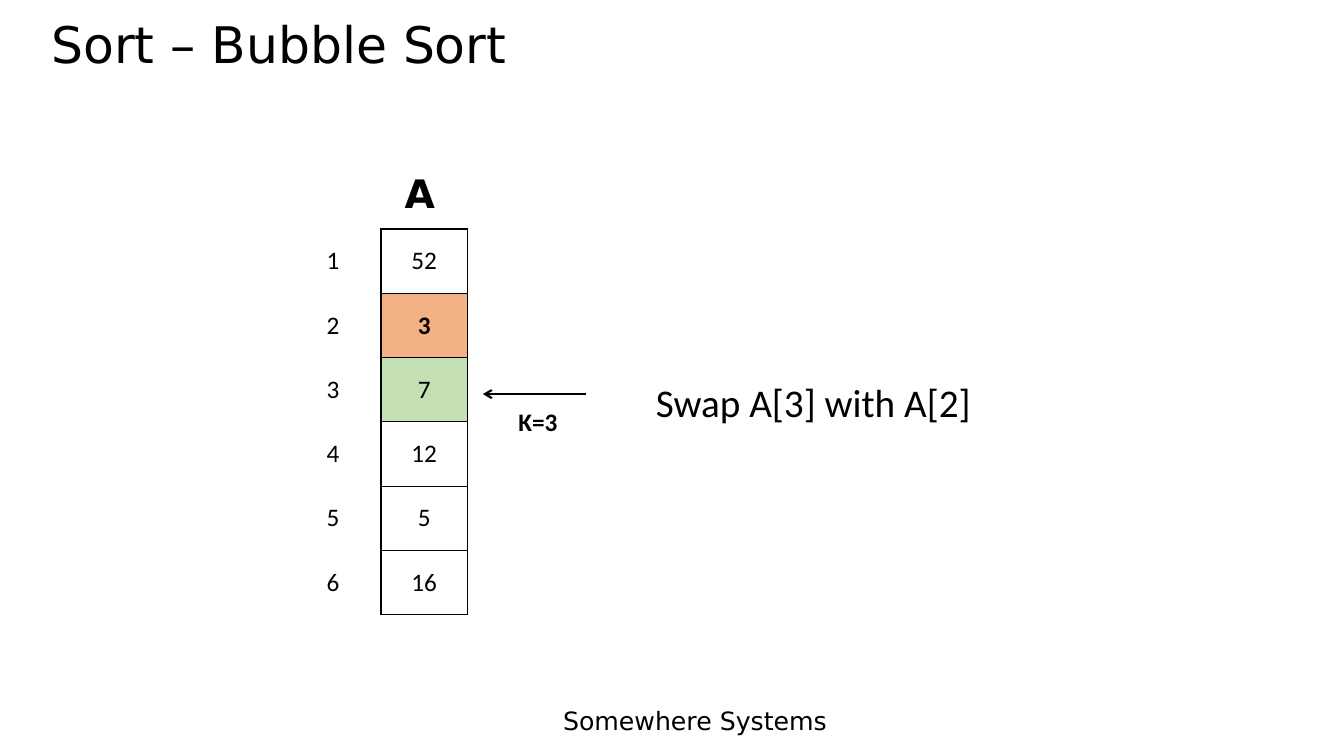
import pptx
import pptx.dml.color
import pptx.enum.shapes
import pptx.enum.text
import pptx.oxml
import pptx.oxml.ns
import pptx.util
from pptx.util import Cm

BLACK = pptx.dml.color.RGBColor(0x00, 0x00, 0x00)
ORANGE = pptx.dml.color.RGBColor(0xF4, 0xB1, 0x83)
GREEN = pptx.dml.color.RGBColor(0xC5, 0xE0, 0xB4)
LEFT = pptx.enum.text.PP_ALIGN.LEFT
CENTER = pptx.enum.text.PP_ALIGN.CENTER
MIDDLE = pptx.enum.text.MSO_ANCHOR.MIDDLE
TOP = pptx.enum.text.MSO_ANCHOR.TOP

TABLE_TOP = 5.77
ROW_HEIGHT = 1.62
VALUES = ["52", "3", "7", "12", "5", "16"]
INDEXES = [str(number) for number in range(1, len(VALUES) + 1)]
HIGHLIGHTS = {"3": ORANGE, "7": GREEN}


def write_text(text_frame, text, size, font_name, bold=False, alignment=CENTER):
    text_frame.text = text
    text_frame.word_wrap = True
    paragraph = text_frame.paragraphs[0]
    paragraph.alignment = alignment
    font = paragraph.runs[0].font
    font.size = pptx.util.Pt(size)
    font.name = font_name
    font.bold = bold
    font.color.rgb = BLACK


def add_column(left, width, texts, bordered):
    """Add a one-column table; a bordered one also gets its highlights."""
    frame = slide.shapes.add_table(len(texts), 1, Cm(left), Cm(TABLE_TOP),
                                   Cm(width), Cm(ROW_HEIGHT * len(texts)))
    table = frame.table
    table.first_row = False
    table.horz_banding = False
    for row, text in enumerate(texts):
        table.rows[row].height = Cm(ROW_HEIGHT)
        cell = table.cell(row, 0)
        write_text(cell.text_frame, text, 18, "Calibri", bordered and text == "3")
        cell.vertical_anchor = MIDDLE
        if bordered:
            for side in ("lnL", "lnR", "lnT", "lnB"):
                cell._tc.get_or_add_tcPr().append(pptx.oxml.parse_xml(
                    f'<a:{side} {pptx.oxml.ns.nsdecls("a")} w="12700"><a:solidFill>'
                    f'<a:srgbClr val="{BLACK}"/></a:solidFill></a:{side}>'))
        if bordered and text in HIGHLIGHTS:
            cell.fill.solid()
            cell.fill.fore_color.rgb = HIGHLIGHTS[text]
        else:
            cell.fill.background()


presentation = pptx.Presentation()
presentation.slide_width = Cm(33.87)
presentation.slide_height = Cm(19.05)
slide = presentation.slides.add_slide(presentation.slide_layouts[5])

# Title
title = slide.shapes.title
title.left, title.top, title.width, title.height = Cm(1.04), Cm(0.38), Cm(30.5), Cm(2.41)
write_text(title.text_frame, "Sort – Bubble Sort", 36, "DejaVu Sans", alignment=LEFT)
title.text_frame.vertical_anchor = TOP
title.text_frame.paragraphs[0].line_spacing = 0.9

# Array and its indexes
add_column(9.6, 2.18, VALUES, bordered=True)
add_column(7.8, 1.19, INDEXES, bordered=False)

# Pointer to the current element
pointer = slide.shapes.add_connector(pptx.enum.shapes.MSO_CONNECTOR.STRAIGHT,
                                     Cm(14.76), Cm(9.93), Cm(12.17), Cm(9.93))
pointer.line.color.rgb = BLACK
pointer.line.width = pptx.util.Pt(1.5)
pointer.line._get_or_add_ln().append(pptx.oxml.parse_xml(
    f'<a:tailEnd {pptx.oxml.ns.nsdecls("a")} type="arrow"/>'))
pointer._element.spPr.append(pptx.oxml.parse_xml(
    f'<a:effectLst {pptx.oxml.ns.nsdecls("a")}/>'))

# Labels: left, top, width, height, text, size, font, bold, alignment
LABELS = [
    (8.99, 4.14, 3.18, 1.45, "A", 28, "DejaVu Sans", True, CENTER),
    (12.17, 10.11, 2.77, 1.02, "Κ=3", 18, "Calibri", True, CENTER),
    (16.28, 9.4, 13.11, 2.64, "Swap A[3] with A[2]", 28, "Calibri", False, LEFT),
    (13.94, 17.65, 7.37, 1.02, "Somewhere Systems", 18, "DejaVu Sans", False, LEFT),
]
for left, top, width, height, *text_format in LABELS:
    label = slide.shapes.add_textbox(Cm(left), Cm(top), Cm(width), Cm(height))
    write_text(label.text_frame, *text_format)

presentation.save("out.pptx")
